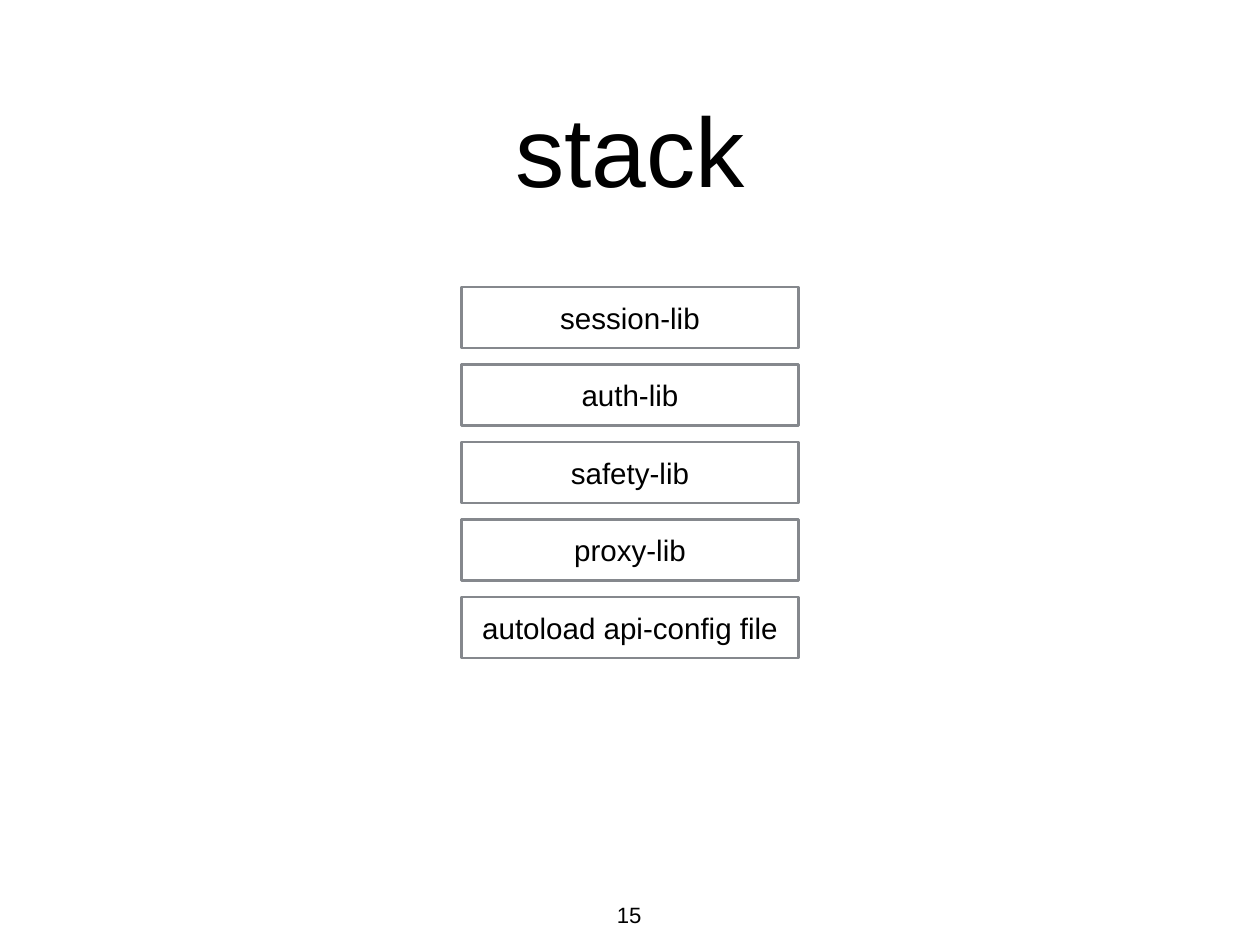
from dataclasses import dataclass

from pptx import Presentation
from pptx.dml.color import RGBColor
from pptx.enum.shapes import MSO_SHAPE as Shape
from pptx.enum.text import MSO_ANCHOR as Anchor, PP_ALIGN as Align
from pptx.slide import Slide
from pptx.text.text import TextFrame
from pptx.util import Inches, Pt

INSET = 0.06
LAYER_LEFT, LAYER_WIDTH, LAYER_HEIGHT = 5.21, 3.8, 0.69
STACK_TOP, LAYER_PITCH = 3.24, 0.875


@dataclass
class Box:
    left: float
    top: float
    width: float
    height: float

    def lengths(self) -> list[Inches]:
        return [Inches(n) for n in (self.left, self.top, self.width, self.height)]


@dataclass
class Layer:
    label: str
    level: int

    @property
    def box(self) -> Box:
        top = STACK_TOP + self.level * LAYER_PITCH
        return Box(LAYER_LEFT, top, LAYER_WIDTH, LAYER_HEIGHT)


LIBRARIES = ["session-lib", "auth-lib", "safety-lib", "proxy-lib",
             "autoload api-config file"]


def color(value: str) -> RGBColor:
    return RGBColor.from_string(value)


def write(frame: TextFrame, text: str, *, size: float, anchor: Anchor = Anchor.MIDDLE,
          wrap: bool = True, ink: str = "000000") -> None:
    frame.margin_left = frame.margin_right = Inches(INSET)
    frame.margin_top = frame.margin_bottom = Inches(INSET)
    frame.vertical_anchor = anchor
    frame.word_wrap = wrap
    paragraph = frame.paragraphs[0]
    paragraph.alignment = Align.CENTER
    run = paragraph.add_run()
    run.text = text
    run.font.name = "Arial"
    run.font.size = Pt(size)
    run.font.color.rgb = color(ink)


def draw_layer(slide: Slide, layer: Layer) -> None:
    block = slide.shapes.add_shape(Shape.RECTANGLE, *layer.box.lengths())
    block.shadow.inherit = False
    block.fill.background()
    block.line.color.rgb = color("85888D")
    block.line.width = Pt(2)
    write(block.text_frame, layer.label, size=24)


def main() -> None:
    deck = Presentation()
    deck.slide_width, deck.slide_height = Inches(14.22), Inches(10.67)
    slide = deck.slides.add_slide(deck.slide_layouts[6])

    heading = slide.shapes.add_textbox(*Box(1.04, 0.49, 12.14, 2.36).lengths())
    write(heading.text_frame, "stack", size=80)

    for level, label in enumerate(LIBRARIES):
        draw_layer(slide, Layer(label, level))

    page_number = slide.shapes.add_textbox(*Box(6.9, 10.12, 0.4, 0.42).lengths())
    write(page_number.text_frame, "15", size=18, anchor=Anchor.TOP, wrap=False)

    deck.save("out.pptx")


if __name__ == "__main__":
    main()
